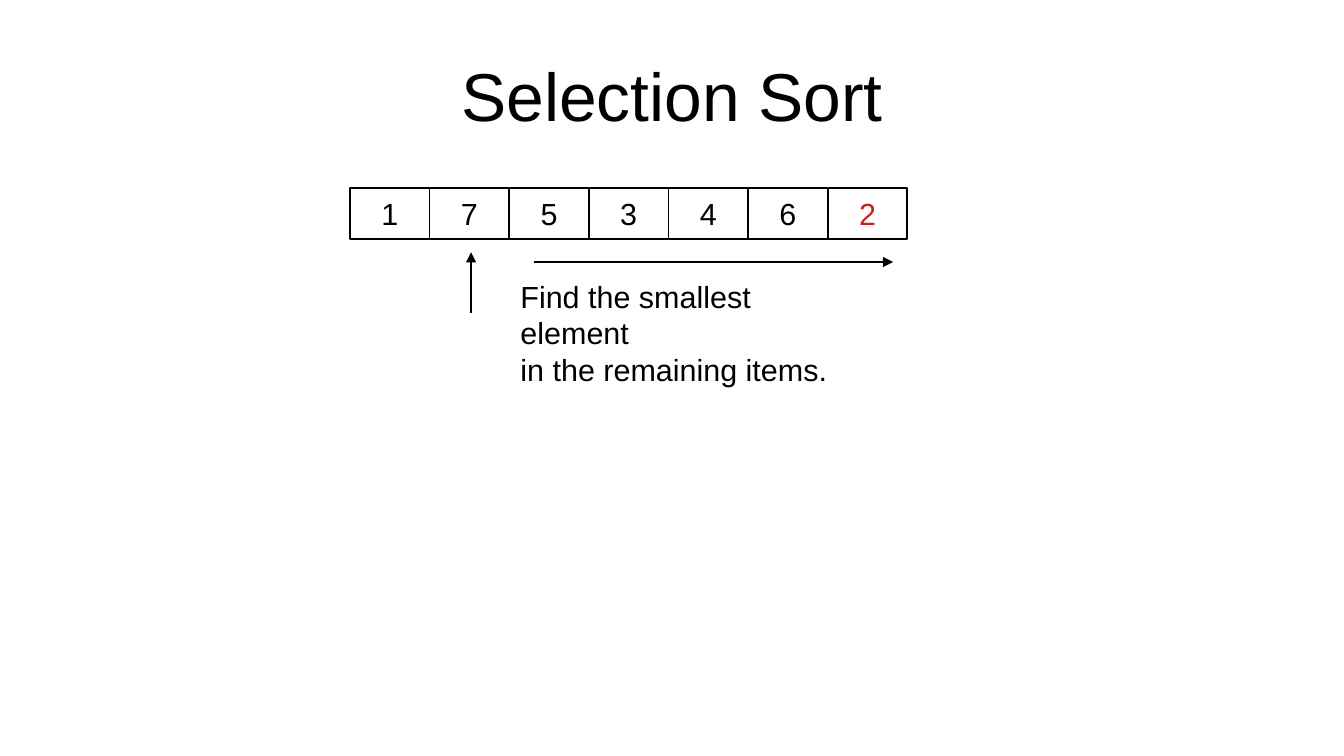
from dataclasses import dataclass

from lxml.etree import SubElement
from pptx import Presentation
from pptx.dml.color import RGBColor
from pptx.enum.shapes import MSO_CONNECTOR as Connector, MSO_SHAPE as Shape
from pptx.enum.text import MSO_ANCHOR as Anchor, PP_ALIGN as Align
from pptx.oxml.ns import qn
from pptx.util import Inches, Pt

SLIDE_W, SLIDE_H = 11.02, 6.2
ARRAY_LEFT, ARRAY_TOP, ARRAY_W = 2.87, 1.54, 4.57
VALUES = (1, 7, 5, 3, 4, 6, 2)
SMALLEST = min(VALUES[1:])
COL, ROW = ARRAY_W / len(VALUES), 0.42
BLACK, WHITE, RED = "000000", "FFFFFF", "C9211E"


@dataclass
class Arrow:
    """Ends of an arrow, in columns and rows of the array."""
    start: tuple[float, float]
    end: tuple[float, float]


@dataclass
class Label:
    """Paragraphs with their look and inner margins in inches."""
    lines: tuple[str, ...]
    size: int = 18
    color: str = BLACK
    align: Align = Align.CENTER
    anchor: Anchor = Anchor.MIDDLE
    wrap: bool = True
    margin_x: float = 0
    margin_y: float = 0


ARROWS = (Arrow((1.52, 2.45), (1.52, 1.26)), Arrow((2.31, 1.45), (6.82, 1.45)))
TITLE = Label(("Selection Sort",), size=40)
NOTE = Label(("Find the smallest element", "in the remaining items."), align=Align.LEFT,
             anchor=Anchor.TOP, margin_x=0.1, margin_y=0.05)


def rgb(color: str) -> RGBColor:
    """Turn a hex string into a colour."""
    return RGBColor.from_string(color)


def col(position: float) -> Inches:
    """Horizontal place of a column edge."""
    return Inches(ARRAY_LEFT + position * COL)


def row(position: float) -> Inches:
    """Vertical place of a row edge."""
    return Inches(ARRAY_TOP + position * ROW)


def write(frame, label: Label) -> None:
    """Fill a text frame with a label."""
    frame_format = {
        "word_wrap": label.wrap, "vertical_anchor": label.anchor,
        "margin_left": Inches(label.margin_x), "margin_right": Inches(label.margin_x),
        "margin_top": Inches(label.margin_y), "margin_bottom": Inches(label.margin_y),
    }
    for name, value in frame_format.items():
        setattr(frame, name, value)
    for index, line in enumerate(label.lines):
        paragraph = frame.add_paragraph() if index else frame.paragraphs[0]
        paragraph.alignment = label.align
        run = paragraph.add_run()
        run.text = line
        for name, value in {"name": "Arial", "size": Pt(label.size)}.items():
            setattr(run.font, name, value)
        run.font.color.rgb = rgb(label.color)


def draw_cell(slide, index: int, value: int) -> None:
    """Draw one array element."""
    cell = slide.shapes.add_shape(Shape.RECTANGLE, col(index), row(0), Inches(COL), Inches(ROW))
    cell.shadow.inherit = False
    cell.fill.solid()
    cell.fill.fore_color.rgb = rgb(WHITE)
    cell.line.color.rgb = rgb(BLACK)
    cell.line.width = Pt(1)
    color = RED if value == SMALLEST else BLACK
    write(cell.text_frame, Label((str(value),), color=color, wrap=False,
                                 margin_x=0.11, margin_y=0.06))


def draw_arrow(slide, arrow: Arrow) -> None:
    """Draw a straight arrow with a triangle at its end."""
    (x1, y1), (x2, y2) = arrow.start, arrow.end
    pointer = slide.shapes.add_connector(Connector.STRAIGHT, col(x1), row(y1), col(x2), row(y2))
    pointer.line.color.rgb = rgb(BLACK)
    pointer.line.width = Pt(1)
    SubElement(pointer.line._get_or_add_ln(), qn("a:tailEnd"), type="triangle")
    SubElement(pointer._element.spPr, qn("a:effectLst"))


def main() -> None:
    """Build and save the slide."""
    deck = Presentation()
    deck.slide_width, deck.slide_height = Inches(SLIDE_W), Inches(SLIDE_H)
    slide = deck.slides.add_slide(deck.slide_layouts[6])
    title = slide.shapes.add_textbox(Inches(0.05 * SLIDE_W), Inches(0.04 * SLIDE_H),
                                     Inches(0.9 * SLIDE_W), Inches(0.17 * SLIDE_H))
    write(title.text_frame, TITLE)
    for index, value in enumerate(VALUES):
        draw_cell(slide, index, value)
    note = slide.shapes.add_textbox(col(1.99), row(1.64), Inches(4.64 * COL), Inches(1.57 * ROW))
    write(note.text_frame, NOTE)
    for arrow in ARROWS:
        draw_arrow(slide, arrow)
    deck.save("out.pptx")


if __name__ == "__main__":
    main()
